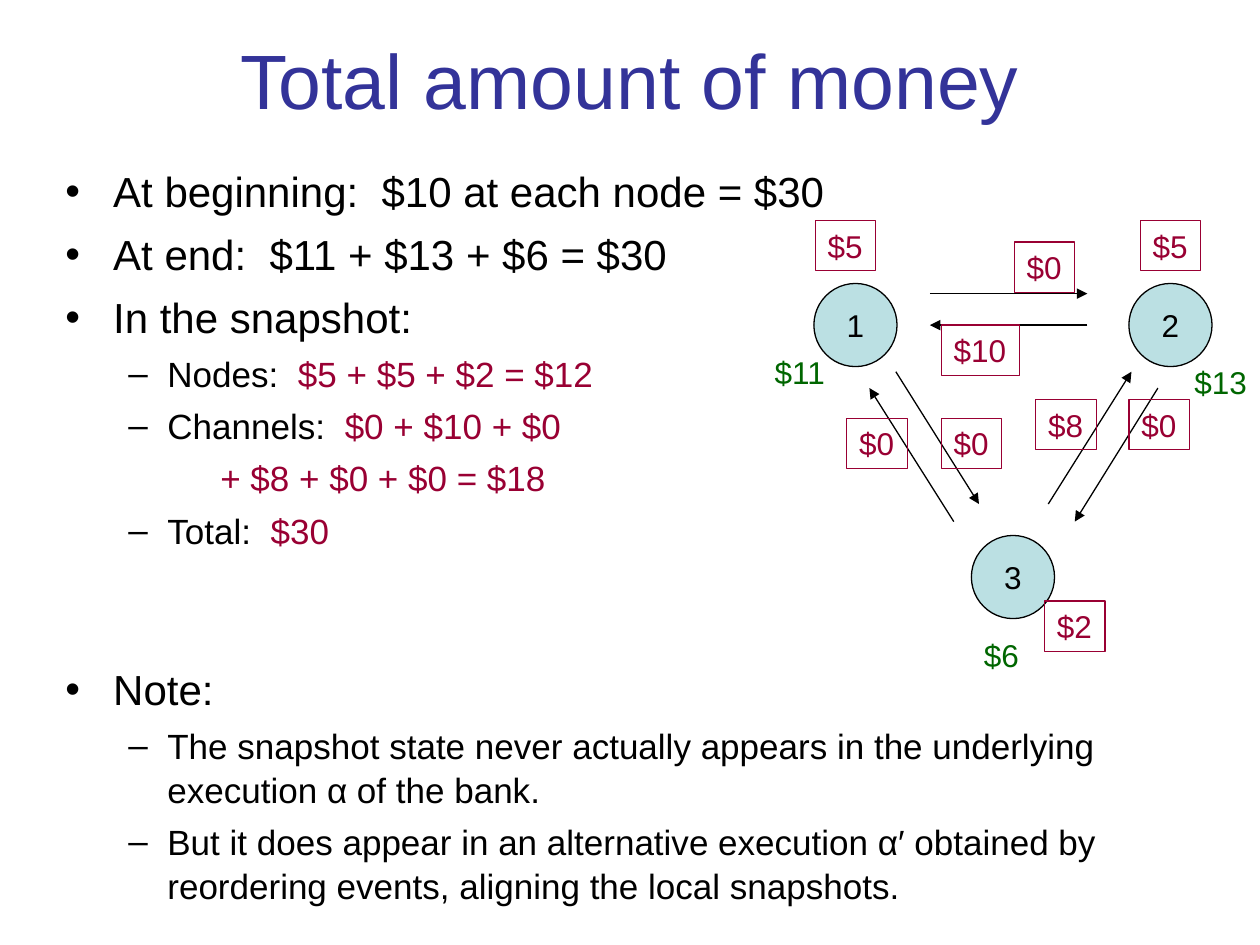
from lxml import etree
from pptx import Presentation, util as u
from pptx.dml.color import RGBColor
from pptx.enum import shapes, text
from pptx.oxml.ns import qn

BLACK = RGBColor(0, 0, 0)
BLUE = RGBColor(0x33, 0x33, 0x99)
RED = RGBColor(0x99, 0, 0x33)
GREEN = RGBColor(0, 0x66, 0)
PALE = RGBColor(0xBB, 0xE0, 0xE3)

WIDE, HIGH = 10, 7.5
COL, ROW = WIDE / 120, HIGH / 90
TITLE = "Total amount of money"
LEVELS = {
    "main": dict(left=0.38, hang=0.38, mark="•", size=24, gap=6),
    "sub": dict(left=0.81, hang=0.31, mark="–", size=20, gap=5),
    "more": dict(left=1.23, hang=0, mark=None, size=20, gap=5),
}
NOTE_GAP = 63
LINES = [
    ("main", [("At beginning:  $10 at each node = $30", BLACK)]),
    ("main", [("At end:  $11 + $13 + $6 = $30", BLACK)]),
    ("main", [("In the snapshot:", BLACK)]),
    ("sub", [("Nodes:  ", BLACK), ("$5 + $5 + $2 = $12", RED)]),
    ("sub", [("Channels:  ", BLACK), ("$0 + $10 + $0", RED)]),
    ("more", [("+ $8 + $0 + $0 = $18", RED)]),
    ("sub", [("Total:", BLACK), ("  $30", RED)]),
    ("main", [("Note:", BLACK)]),
    ("sub", [("The snapshot state never actually appears in the underlying "
              "execution α of the bank.", BLACK)]),
    ("sub", [("But it does appear in an alternative execution α′ obtained by "
              "reordering events, aligning the local snapshots.", BLACK)]),
]
NODES = [("1", 77.5, 27), ("3", 92.5, 51), ("2", 107.5, 27)]
SUMS = [("$11", 72.6, 33), ("$13", 112.6, 34), ("$6", 92.5, 60)]
STATES = [
    ("$5", 77.6, 21), ("$5", 108.6, 21), ("$2", 99.5, 57.2),
    ("$0", 96.6, 23), ("$10", 89.6, 31), ("$8", 98.6, 38),
    ("$0", 107.5, 38), ("$0", 89.6, 39.8), ("$0", 80.6, 39.8),
]
ARROWS = [
    (88.6, 28, 103.6, 28), (103.6, 31, 88.6, 31),
    (99.8, 48, 107.8, 35.4), (110.3, 37, 102.4, 49.7),
    (85.3, 35.4, 93.3, 48), (90.8, 49.7, 82.8, 37),
]


def style(item, **form):
    for key, val in form.items():
        setattr(item, key, val)


def write(para, words, size, color):
    run = para.add_run()
    run.text = words
    style(run.font, name="Arial", size=u.Pt(size))
    run.font.color.rgb = color


def place(slide, kind, x, y, w, h):
    area = [u.Inches(round(n, 2)) for n in (x, y, w, h)]
    if kind is None:
        return slide.shapes.add_textbox(*area)
    shape = slide.shapes.add_shape(kind, *area)
    shape.shadow.inherit = False
    shape.line.color.rgb = BLACK
    shape.line.width = u.Pt(0.75)
    shape.fill.background()
    return shape


def label(slide, kind, words, x, y, color):
    width = 0.34 + 0.14 * (len(words) - 1)
    shape = place(slide, kind, x * COL, y * ROW, width, 0.4)
    style(shape.text_frame, word_wrap=False,
          vertical_anchor=text.MSO_ANCHOR.TOP)
    para = shape.text_frame.paragraphs[0]
    para.alignment = text.PP_ALIGN.LEFT
    write(para, words, 18, color)
    if kind is not None:
        shape.line.color.rgb = color


def node(slide, words, x, y):
    shape = place(slide, shapes.MSO_SHAPE.OVAL, x * COL, y * ROW, 0.66, 0.66)
    shape.fill.solid()
    shape.fill.fore_color.rgb = PALE
    style(shape.text_frame, word_wrap=False,
          vertical_anchor=text.MSO_ANCHOR.MIDDLE)
    para = shape.text_frame.paragraphs[0]
    para.alignment = text.PP_ALIGN.CENTER
    write(para, words, 18, BLACK)


def arrow(slide, x1, y1, x2, y2):
    ends = [u.Inches(round(n, 2))
            for n in (x1 * COL, y1 * ROW, x2 * COL, y2 * ROW)]
    link = slide.shapes.add_connector(shapes.MSO_CONNECTOR.STRAIGHT, *ends)
    link.line.color.rgb = BLACK
    link.line.width = u.Pt(0.75)
    tip = etree.SubElement(link.line._get_or_add_ln(), qn("a:tailEnd"))
    tip.set("type", "triangle")
    etree.SubElement(link._element.spPr, qn("a:effectLst"))


def bullet(para, left, hang, mark):
    props = para._p.get_or_add_pPr()
    props.set("marL", str(u.Inches(left)))
    props.set("indent", str(-u.Inches(hang)))
    if mark:
        font = etree.SubElement(props, qn("a:buFont"))
        font.set("typeface", "Arial")
        etree.SubElement(props, qn("a:buChar")).set("char", mark)
    else:
        etree.SubElement(props, qn("a:buNone"))


def body(slide):
    frame = place(slide, None, 0.42, 1.25, 9.25, 6).text_frame
    frame.word_wrap = True
    for i, (level, runs) in enumerate(LINES):
        form = LEVELS[level]
        para = frame.add_paragraph() if i else frame.paragraphs[0]
        bullet(para, form["left"], form["hang"], form["mark"])
        gap = NOTE_GAP if runs[0][0] == "Note:" else form["gap"]
        style(para, line_spacing=1.04, space_before=u.Pt(gap if i else 0))
        for words, color in runs:
            write(para, words, form["size"], color)


def main():
    deck = Presentation()
    style(deck, slide_width=u.Inches(WIDE), slide_height=u.Inches(HIGH))
    slide = deck.slides.add_slide(deck.slide_layouts[6])
    head = place(slide, None, 0.5, 0, 9, 1.25).text_frame
    style(head, word_wrap=True, vertical_anchor=text.MSO_ANCHOR.MIDDLE)
    head.paragraphs[0].alignment = text.PP_ALIGN.CENTER
    write(head.paragraphs[0], TITLE, 44, BLUE)
    for item in SUMS:
        label(slide, None, *item, GREEN)
    for item in NODES:
        node(slide, *item)
    for item in ARROWS:
        arrow(slide, *item)
    for item in STATES:
        label(slide, shapes.MSO_SHAPE.RECTANGLE, *item, RED)
    body(slide)
    deck.save("out.pptx")


if __name__ == "__main__":
    main()
